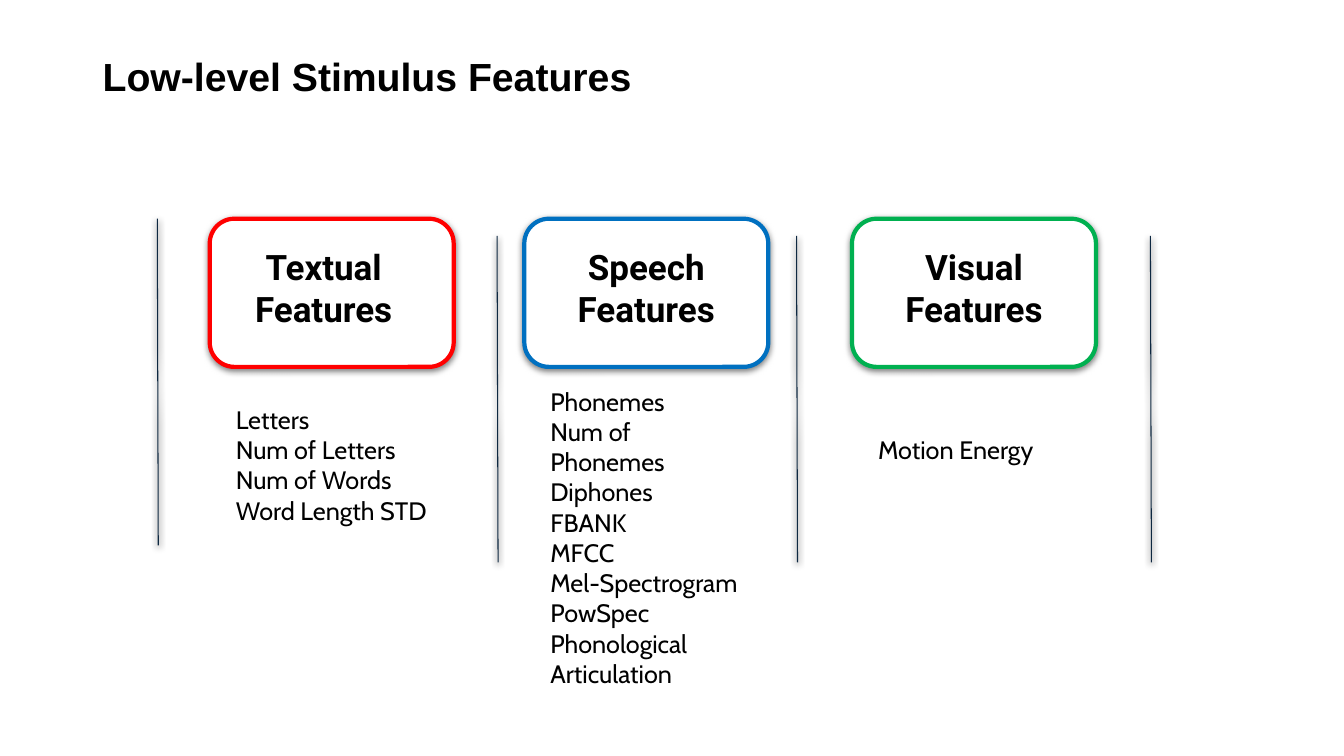
from dataclasses import dataclass

from lxml import etree
from pptx import Presentation
from pptx.dml.color import RGBColor
from pptx.enum import shapes, text
from pptx.oxml import ns
from pptx.util import Inches, Pt

COLORS = {
    "black": "000000",
    "white": "FFFFFF",
    "red": "FF0000",
    "blue": "0070C0",
    "green": "00B050",
    "navy": "0E2841",
}
BOX_WIDTH = 2.42
LIST_WIDTH = 2.11


@dataclass
class FeatureGroup:
    heading: str
    color: str
    box_left: float
    heading_left: float
    list_left: float
    list_top: float
    list_height: float
    features: list[str]


@dataclass
class Divider:
    left: float
    top: float


@dataclass
class Style:
    font: str
    size: float
    bold: bool = False
    align: text.PP_ALIGN = text.PP_ALIGN.LEFT
    line_spacing: float = 1.0


TITLE = Style("Arial", 28, bold=True, line_spacing=0.9)
HEADING = Style("Roboto", 25, bold=True, align=text.PP_ALIGN.CENTER)
LIST = Style("Cabin", 18)

GROUPS = [
    FeatureGroup("Textual Features", "red", 2.08, 2.0, 2.24, 3.96, 1.31,
                 ["Letters", "Num of Letters", "Num of Words", "Word Length STD"]),
    FeatureGroup("Speech Features", "blue", 5.2, 5.2, 5.36, 3.78, 2.83,
                 ["Phonemes", "Num of Phonemes", "Diphones", "FBANK", "MFCC",
                  "Mel-Spectrogram", "PowSpec", "Phonological", "Articulation"]),
    FeatureGroup("Visual Features", "green", 8.45, 8.45, 8.61, 4.26, 0.4,
                 ["Motion Energy"]),
]
DIVIDERS = [Divider(1.56, 2.17), Divider(4.93, 2.34),
            Divider(7.9, 2.34), Divider(11.41, 2.34)]


def rgb(name: str) -> RGBColor:
    return RGBColor.from_string(COLORS[name])


def add_shadow(sp, opacity: int) -> None:
    """Cast a soft shadow straight down; call after the line is set."""
    spPr = sp._element.spPr
    effects = spPr.find(ns.qn("a:effectLst"))
    if effects is None:
        effects = etree.SubElement(spPr, ns.qn("a:effectLst"))
    shadow = etree.SubElement(effects, ns.qn("a:outerShdw"), blurRad=str(Pt(4.5)),
                              dist=str(Pt(1.5)), dir="5400000", rotWithShape="0")
    color = etree.SubElement(shadow, ns.qn("a:srgbClr"), val=COLORS["black"])
    etree.SubElement(color, ns.qn("a:alpha"), val=str(opacity * 1000))


def add_text(slide, left: float, top: float, width: float, height: float,
             lines: list[str], style: Style,
             anchor=text.MSO_ANCHOR.TOP, inset: float | None = None) -> None:
    sp = slide.shapes.add_textbox(Inches(left), Inches(top), Inches(width), Inches(height))
    tf = sp.text_frame
    tf.word_wrap = True
    tf.vertical_anchor = anchor
    if inset is not None:
        tf.margin_left = tf.margin_right = Inches(inset)
        tf.margin_top = tf.margin_bottom = Inches(inset)
    for i, line in enumerate(lines):
        p = tf.add_paragraph() if i else tf.paragraphs[0]
        p.alignment = style.align
        p.line_spacing = style.line_spacing
        r = p.add_run()
        r.text = line
        r.font.name = style.font
        r.font.size = Pt(style.size)
        r.font.bold = style.bold
        r.font.color.rgb = rgb("black")


def add_group(slide, group: FeatureGroup) -> None:
    sp = slide.shapes.add_shape(shapes.MSO_SHAPE.ROUNDED_RECTANGLE, Inches(group.box_left),
                                Inches(2.17), Inches(BOX_WIDTH), Inches(1.47))
    sp.fill.solid()
    sp.fill.fore_color.rgb = rgb("white")
    sp.line.color.rgb = rgb(group.color)
    sp.line.width = Pt(3)
    sp.shadow.inherit = False
    add_shadow(sp, 50)
    add_text(slide, group.heading_left, 2.34, BOX_WIDTH, 1.04,
             [group.heading], HEADING, inset=0.1)
    add_text(slide, group.list_left, group.list_top, LIST_WIDTH, group.list_height,
             group.features, LIST)


def add_divider(slide, divider: Divider) -> None:
    sp = slide.shapes.add_connector(
        shapes.MSO_CONNECTOR.STRAIGHT, Inches(divider.left), Inches(divider.top),
        Inches(divider.left + 0.01), Inches(divider.top + 3.24))
    sp.line.color.rgb = rgb("navy")
    sp.line.width = Pt(0.75)
    add_shadow(sp, 100)


def main() -> None:
    prs = Presentation()
    prs.slide_width, prs.slide_height = Inches(13.33), Inches(7.5)
    slide = prs.slides.add_slide(prs.slide_layouts[6])

    # Title
    add_text(slide, 0.92, 0.4, 11.5, 0.77, ["Low-level Stimulus Features"], TITLE,
             anchor=text.MSO_ANCHOR.MIDDLE)

    # Feature columns and the lines between them
    for group in GROUPS:
        add_group(slide, group)
    for divider in DIVIDERS:
        add_divider(slide, divider)

    prs.save("out.pptx")


if __name__ == "__main__":
    main()
